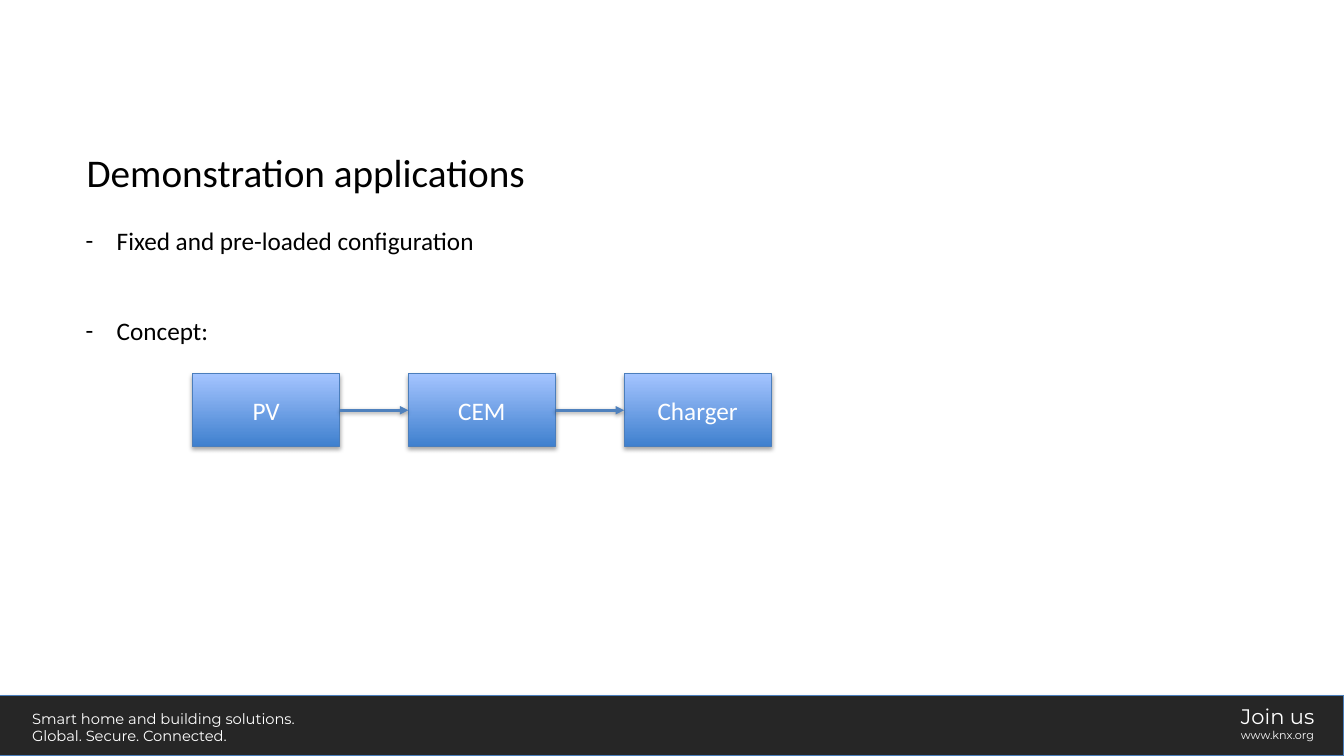
"""Builds the slide on demonstration applications with its three-step concept chain."""
from itertools import pairwise

from lxml.etree import SubElement
from pptx import Presentation
from pptx.dml.color import RGBColor
from pptx.enum.shapes import MSO_CONNECTOR, MSO_SHAPE
from pptx.enum.text import MSO_ANCHOR, MSO_AUTO_SIZE, PP_ALIGN
from pptx.oxml.ns import qn
from pptx.util import Inches, Pt

TITLE = "Demonstration applications"
POINTS = ["Fixed and pre-loaded configuration", "Concept:"]
STEPS = ["PV", "CEM", "Charger"]
SLOGAN = [("Smart home and building solutions.", 10.5), ("Global. Secure. Connected.", 10.5)]
CONTACT = [("Join us", 15), ("www.knx.org", 8)]

COLORS = {
    "text": "000000", "white": "FFFFFF", "footer": "262626", "footer_line": "4A7EBB",
    "step_bottom": "3F80CE", "step_top": "A4C4FF", "step_line": "4B7EBC",
    "arrow": "4F81BD", "footer_shadow": "808080", "shadow": "000000",
}
WIDTH, HEIGHT = 13.33, 7.5
FOOTER_HEIGHT = HEIGHT * 0.08
STEP_LEFT, STEP_TOP, STEP_PITCH = 1.91, 3.71, 2.14
STEP_WIDTH, STEP_HEIGHT = 1.46, 0.72
INDENT = Inches(0.31)


def color(name):
    return RGBColor.from_string(COLORS[name])


def style(font, size, name="text", family="Calibri"):
    font.size, font.name = Pt(size), family
    font.color.rgb = color(name)


def add_shadow(shape, name="shadow", opacity=35, distance=1.8):
    properties = shape._element.spPr
    effects = SubElement(properties, qn("a:effectLst"))
    shadow = SubElement(effects, qn("a:outerShdw"), blurRad=str(Pt(3.1)),
                        dist=str(Pt(distance)), dir="5400000", rotWithShape="0")
    tint = SubElement(shadow, qn("a:srgbClr"), val=COLORS[name])
    SubElement(tint, qn("a:alpha"), val=str(opacity * 1000))


def add_rectangle(page, left, top, width, height, line):
    shape = page.shapes.add_shape(MSO_SHAPE.RECTANGLE, *map(Inches, (left, top, width, height)))
    shape.line.color.rgb = color(line)
    shape.line.width = Pt(0.75)
    return shape


def add_lines(page, place, lines, wrap):
    frame = page.shapes.add_textbox(*map(Inches, place)).text_frame
    frame.word_wrap = wrap
    frame.text = "\n".join(text for text, size in lines)
    for para, (text, size) in zip(frame.paragraphs, lines):
        style(para.font, size, "white", "Montserrat")


def add_footer(page):
    bar = add_rectangle(page, 0, HEIGHT - FOOTER_HEIGHT, WIDTH, FOOTER_HEIGHT, "footer_line")
    bar.fill.solid()
    bar.fill.fore_color.rgb = color("footer")
    add_shadow(bar, "footer_shadow")
    add_lines(page, (0.22, 6.99, 2.93, 0.45), SLOGAN, True)
    add_lines(page, (12.21, 6.93, 0.94, 0.51), CONTACT, False)


def add_title(page):
    title = page.shapes.title
    title.left, title.top, title.width, title.height = map(Inches, (0.76, 1.42, 9.21, 0.57))
    frame = title.text_frame
    frame.text = TITLE
    frame.auto_size = MSO_AUTO_SIZE.NONE
    frame.vertical_anchor = MSO_ANCHOR.TOP
    para = frame.paragraphs[0]
    para.alignment = PP_ALIGN.LEFT
    style(para.font, 28)


def add_points(page):
    frame = page.shapes.add_textbox(*map(Inches, (0.75, 2.19, 11.84, 1.31))).text_frame
    frame.word_wrap = True
    frame.text = "\n".join(POINTS)
    for index, para in enumerate(frame.paragraphs):
        if index:
            para.space_before = Pt(42.4)
        properties = para._p.get_or_add_pPr()
        properties.set("marL", str(INDENT))
        properties.set("indent", str(-INDENT))
        SubElement(properties, qn("a:buFont"), typeface="Calibri")
        SubElement(properties, qn("a:buChar"), char="-")
        style(para.font, 18)


def add_step(page, index, label):
    step = add_rectangle(page, STEP_LEFT + index * STEP_PITCH, STEP_TOP,
                         STEP_WIDTH, STEP_HEIGHT, "step_line")
    step.fill.gradient()
    step.fill.gradient_angle = 90
    for stop, position, name in zip(step.fill.gradient_stops, (0, 1), ("step_bottom", "step_top")):
        stop.position = position
        stop.color.rgb = color(name)
    add_shadow(step)
    frame = step.text_frame
    frame.text = label
    frame.vertical_anchor = MSO_ANCHOR.MIDDLE
    para = frame.paragraphs[0]
    para.alignment = PP_ALIGN.CENTER
    style(para.font, 18, "white")
    return step


def add_arrow(page, start, end):
    middle = start.top + start.height // 2
    arrow = page.shapes.add_connector(MSO_CONNECTOR.STRAIGHT, start.left + start.width, middle,
                                      end.left, middle)
    arrow.begin_connect(start, 3)
    arrow.end_connect(end, 1)
    arrow.line.color.rgb = color("arrow")
    arrow.line.width = Pt(2)
    SubElement(arrow.line._get_or_add_ln(), qn("a:tailEnd"), type="triangle")
    add_shadow(arrow, opacity=38, distance=1.6)


def main():
    deck = Presentation()
    deck.slide_width, deck.slide_height = Inches(WIDTH), Inches(HEIGHT)
    page = deck.slides.add_slide(deck.slide_layouts[5])
    add_footer(page)
    add_title(page)
    add_points(page)
    steps = [add_step(page, index, label) for index, label in enumerate(STEPS)]
    for start, end in pairwise(steps):
        add_arrow(page, start, end)
    deck.save("out.pptx")


if __name__ == "__main__":
    main()
